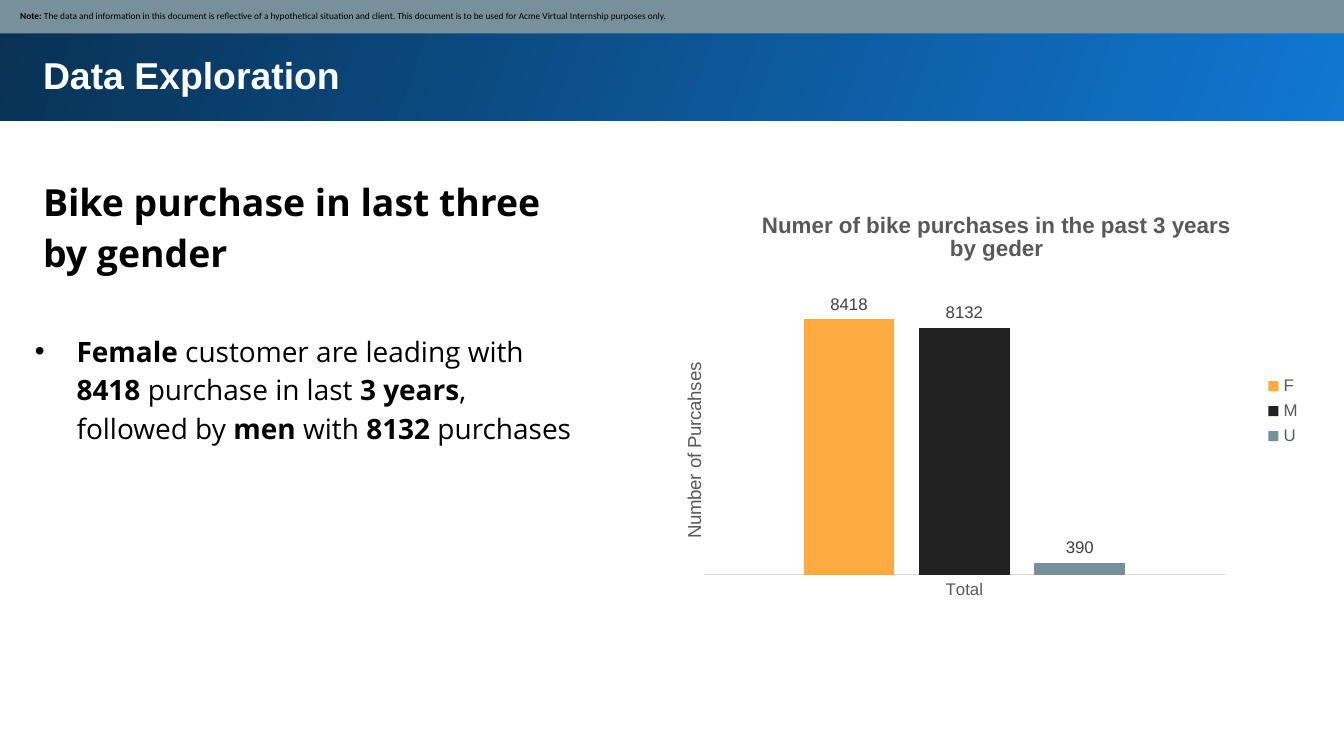
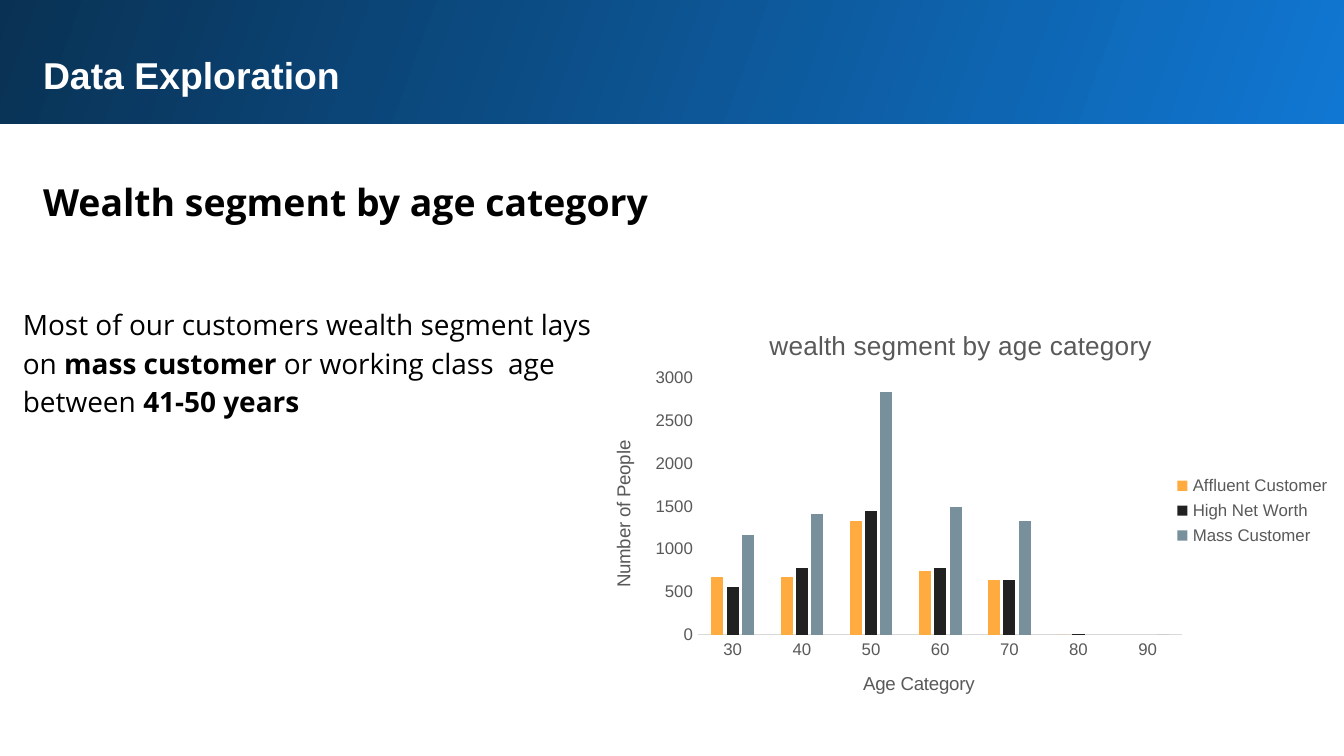
from lxml import etree
from pptx import Presentation
from pptx.chart.data import CategoryChartData
from pptx.dml.color import RGBColor
from pptx.enum.chart import XL_CHART_TYPE, XL_LABEL_POSITION, XL_LEGEND_POSITION, XL_TICK_MARK
from pptx.enum.shapes import MSO_SHAPE
from pptx.enum.text import MSO_ANCHOR, MSO_AUTO_SIZE, PP_ALIGN
from pptx.oxml import parse_xml
from pptx.oxml.ns import nsdecls, qn
from pptx.util import Inches, Pt

# Theme: colours and type styles
COLOR = dict(white="FFFFFF", black="000000", grey="595959", label="404040",
             rule="D9D9D9", note="78909C", light="1077D2", dark="093153")
SERIES = ["FFAB40", "212121", "78909C"]
TYPE = dict(
    title=dict(name="Arial", size=Pt(20), bold=True, color="white"),
    head=dict(name="Open Sans", size=Pt(20), bold=True, color="black"),
    body=dict(name="Open Sans", size=Pt(15), bold=False, color="black"),
    note=dict(name="Calibri", size=Pt(5), bold=False, color="black"),
    chart=dict(name="Arial", size=Pt(10), bold=False, color="black"),
    axis=dict(name="Arial", size=Pt(10), bold=False, color="grey"),
    tick=dict(name="Arial", size=Pt(9), bold=False, color="grey"),
    label=dict(name="Arial", size=Pt(9), bold=False, color="label"),
    big=dict(name="Arial", size=Pt(14), bold=False, color="grey"),
    strong=dict(name="Arial", size=Pt(12), bold=True, color="grey"),
)
FRAME = dict(word_wrap=True, auto_size=MSO_AUTO_SIZE.NONE, vertical_anchor=MSO_ANCHOR.TOP,
             margin_left=Inches(0.1), margin_right=Inches(0.1),
             margin_top=Inches(0.1), margin_bottom=Inches(0.1))

# Page: a grid of 100 columns, with rows of the same size
deck = Presentation()
deck.slide_width, deck.slide_height = Inches(10), Inches(5.625)
UNIT = deck.slide_width / 100


def paint(font, kind, **more):
    """Apply a type style to a font."""
    for key, val in {**TYPE[kind], **more}.items():
        if key == "color":
            font.color.rgb = RGBColor.from_string(COLOR[val])
        else:
            setattr(font, key, val)


def write(shape, box, runs, kind, space=1.0, hang=0, **more):
    """Place a text shape and fill its one paragraph; a run is (text, bold)."""
    for key, val in zip(("left", "top", "width", "height"), box):
        setattr(shape, key, round(val * UNIT))
    frame = shape.text_frame
    for key, val in {**FRAME, **more}.items():
        setattr(frame, key, val)
    para = frame.paragraphs[0]
    for key, val in dict(alignment=PP_ALIGN.LEFT, line_spacing=space,
                         space_before=Pt(0), space_after=Pt(0)).items():
        setattr(para, key, val)
    props = para._p.get_or_add_pPr()
    props.set("marL", str(Inches(hang)))
    props.set("indent", str(-Inches(hang)))
    mark = etree.SubElement(props, qn("a:buChar" if hang else "a:buNone"))
    if hang:
        mark.set("char", "•")
    for text, bold in runs:
        run = para.add_run()
        run.text = text
        paint(run.font, kind, bold=bold)


# Content of each slide
PAGES = [
    dict(
        band=(-0.2, -0.2, 100.5, 9.2),
        head="Bike purchase in last three by gender", head_box=(2.2, 11.8, 40.8, 9.8),
        body=[("Female ", True), ("customer are leading with ", False), ("8418 ", True),
              ("purchase in last ", False), ("3 years", True), (", followed by ", False),
              ("men", True), (" with ", False), ("8132", True), (" purchases", False)],
        body_box=(1.6, 23.5, 42.1, 10.7), hang=0.31,
        note=[("Note: ", True),
              ("The data and information in this document is reflective of a hypothetical "
               "situation and client. This document is to be used for Acme Virtual "
               "Internship purposes only.", False)],
        chart_box=(50.5, 14.2, 47.3, 32.8), plot=(0.04, 0.252, 0.819, 0.619),
        title="Numer of bike purchases in the past 3 years by geder", title_kind="strong",
        across=None, up="Number of Purcahses", top=9000, step=1000, labels=True,
        cats=["Total"], data=dict(F=[8418], M=[8132], U=[390]),
    ),
    dict(
        band=(-0.5, 0, 100.5, 9.2),
        head="Wealth segment by age category", head_box=(2.2, 11.8, 93.7, 5.6),
        body=[("Most of our customers wealth segment lays on ", False),
              ("mass customer ", True), ("or working class  age between ", False),
              ("41-50 years", True)],
        body_box=(0.7, 21.5, 45.2, 10.7), hang=0, note=None,
        chart_box=(43, 23, 57, 30), plot=(0.157, 0.172, 0.632, 0.636),
        title="wealth segment by age category", title_kind="big",
        across="Age Category", up="Number of People", top=3000, step=500, labels=False,
        cats=["30", "40", "50", "60", "70", "80", "90"],
        data={"Affluent Customer": [680, 680, 1330, 740, 640, 0, None],
              "High Net Worth": [560, 780, 1450, 780, 640, 10, None],
              "Mass Customer": [1170, 1410, 2840, 1490, 1330, None, 0]},
    ),
]

for page in PAGES:
    slide = deck.slides.add_slide(deck.slide_layouts[3])
    title, head, body = slide.placeholders

    # Gradient band behind the title
    band = slide.shapes.add_shape(MSO_SHAPE.RECTANGLE, *[round(n * UNIT) for n in page["band"]])
    band.shadow.inherit = False
    band.line.fill.background()
    band.fill.gradient()
    band.fill.gradient_angle = 160
    for stop, tone in zip(band.fill.gradient_stops, ("light", "dark")):
        stop.color.rgb = RGBColor.from_string(COLOR[tone])
    slide.shapes._spTree.insert(2, band._element)

    # Title, heading and body text
    write(title, (2.2, 2.9, 93.7, 5.1), [("Data Exploration", True)], "title")
    write(head, page["head_box"], [(page["head"], True)], "head", 1.15)
    write(body, page["body_box"], page["body"], "body", 1.15, page["hang"])

    # Note strip
    if page["note"]:
        strip = slide.shapes.add_shape(MSO_SHAPE.RECTANGLE, 0, 0, 0, 0)
        strip.shadow.inherit = False
        strip.line.fill.background()
        strip.fill.solid()
        strip.fill.fore_color.rgb = RGBColor.from_string(COLOR["note"])
        write(strip, (-0.1, -0.1, 100.3, 2.6), page["note"], "note",
              vertical_anchor=MSO_ANCHOR.MIDDLE, margin_left=Inches(0.16),
              margin_top=Inches(0.05), margin_bottom=Inches(0.05))

    # Chart
    data = CategoryChartData()
    data.categories = page["cats"]
    for name, vals in page["data"].items():
        data.add_series(name, vals)
    chart = slide.shapes.add_chart(XL_CHART_TYPE.COLUMN_CLUSTERED,
                                   *[round(n * UNIT) for n in page["chart_box"]], data).chart
    paint(chart.font, "chart")
    chart.has_legend = True
    chart.legend.position = XL_LEGEND_POSITION.RIGHT
    chart.legend.include_in_layout = False
    paint(chart.legend.font, "tick")

    # Columns and their labels
    plot = chart.plots[0]
    for key, val in dict(gap_width=219, overlap=-27, vary_by_categories=False).items():
        setattr(plot, key, val)
    for series, tone in zip(plot.series, SERIES):
        series.format.fill.solid()
        series.format.fill.fore_color.rgb = RGBColor.from_string(tone)
        if page["labels"]:
            tags = series.data_labels
            tags.show_value = True
            tags.position = XL_LABEL_POSITION.OUTSIDE_END
            paint(tags.font, "label")

    # Axes
    low, side = chart.category_axis, chart.value_axis
    for key, val in dict(minimum_scale=0, maximum_scale=page["top"], major_unit=page["step"],
                         visible=not page["labels"]).items():
        setattr(side, key, val)
    for axis in (low, side):
        axis.has_major_gridlines = False
        axis.major_tick_mark = axis.minor_tick_mark = XL_TICK_MARK.NONE
        paint(axis.tick_labels.font, "tick")
    low.format.line.color.rgb = RGBColor.from_string(COLOR["rule"])
    low.format.line.width = Pt(0.75)
    side.format.line.fill.background()

    # Chart and axis titles
    for part, text, kind in ((chart, page["title"], page["title_kind"]),
                             (low, page["across"], "axis"), (side, page["up"], "axis")):
        part.has_title = bool(text)
        if text:
            frame = (part.chart_title if part is chart else part.axis_title).text_frame
            frame.text = text
            paint(frame.paragraphs[0].runs[0].font, kind)
            if part is side:
                turn = frame._txBody.find(qn("a:bodyPr"))
                turn.set("rot", "-5400000")
                turn.set("vert", "horz")

    # Fixed inner plot area
    area = chart._chartSpace.chart.plotArea
    for old in area.findall(qn("c:layout")):
        area.remove(old)
    spots = "".join(f'<c:{key} val="{val}"/>' for key, val in zip("xywh", page["plot"]))
    area.insert(0, parse_xml(
        f'<c:layout {nsdecls("c")}><c:manualLayout><c:layoutTarget val="inner"/>'
        f'<c:xMode val="edge"/><c:yMode val="edge"/>{spots}</c:manualLayout></c:layout>'))

deck.save("out.pptx")
